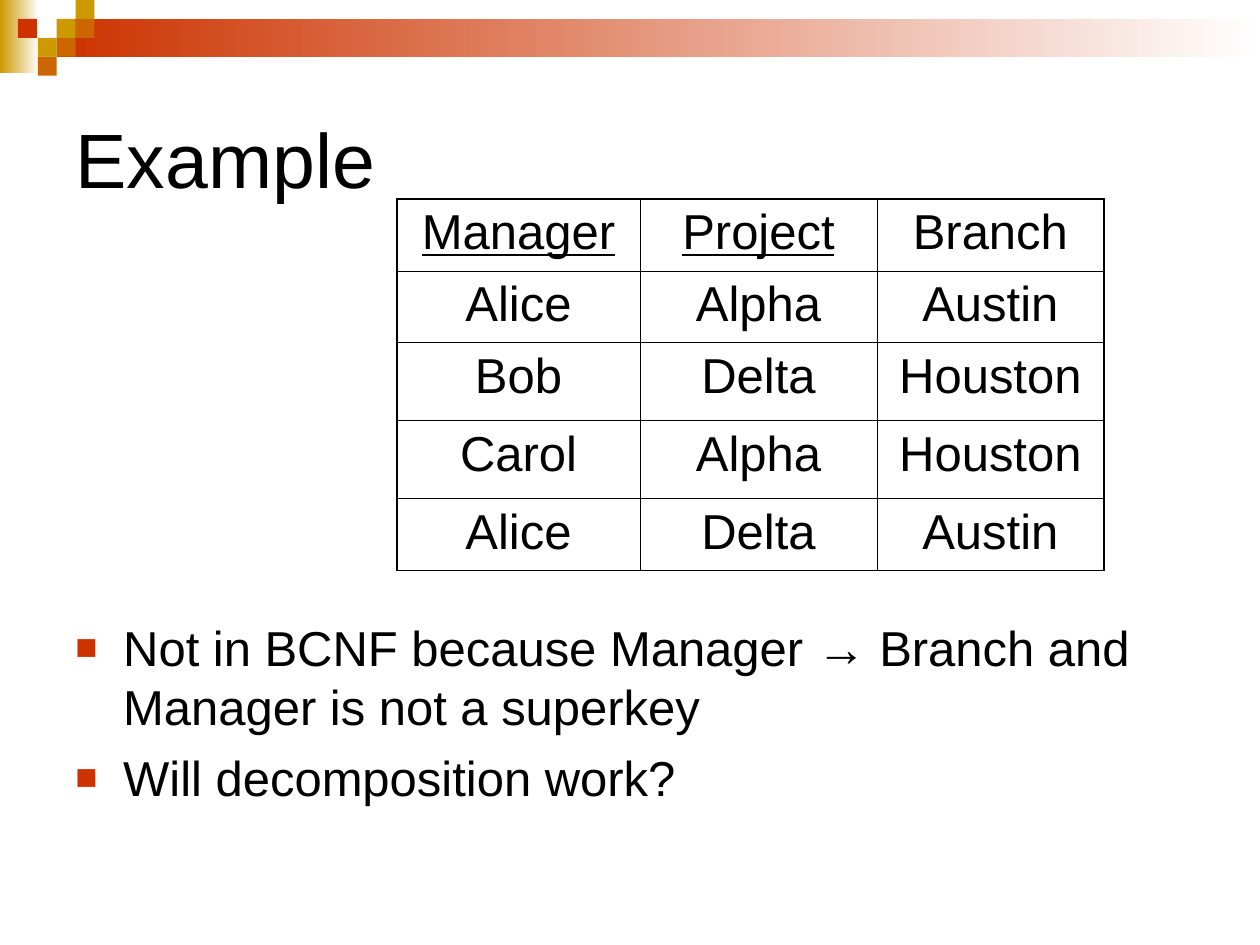
from dataclasses import dataclass

import pptx
import pptx.dml.color
import pptx.enum.shapes
import pptx.enum.text
import pptx.oxml
import pptx.oxml.ns
import pptx.util
from pptx.util import Inches


@dataclass(frozen=True)
class Theme:
    """Colours, font, type sizes and line widths of the slide."""
    font: str = "Arial"
    text: str = "000000"
    paper: str = "FFFFFF"
    gold: str = "CC9900"
    red: str = "CC3300"
    orange: str = "CC6600"
    title_size: int = 44
    body_size: int = 28
    outer_line: float = 1.08
    inner_line: float = 0.45


THEME = Theme()


def rgb(color):
    """Return a colour object for a hex string."""
    return pptx.dml.color.RGBColor.from_string(color)


def xml(text):
    """Parse a DrawingML element whose first tag takes the namespace."""
    tag, rest = text.split(" ", 1)
    return pptx.oxml.parse_xml(f"{tag} {pptx.oxml.ns.nsdecls('a')} {rest}")


def style(p, size, align, underline=None):
    """Format every run of a paragraph."""
    p.alignment = align
    for r in p.runs:
        r.font.name = THEME.font
        r.font.size = pptx.util.Pt(size)
        r.font.color.rgb = rgb(THEME.text)
        r.font.underline = underline


def add_block(s, x, y, w, h, color, fade=False):
    """Add a borderless rectangle, plain or fading to the paper colour."""
    sp = s.shapes.add_shape(pptx.enum.shapes.MSO_SHAPE.RECTANGLE,
                            Inches(x), Inches(y), Inches(w), Inches(h))
    sp.shadow.inherit = False
    sp.line.fill.background()
    if fade:
        sp.fill.gradient()
        sp.fill.gradient_angle = 0
        for stop, position, shade in zip(sp.fill.gradient_stops, (0, 1), (color, THEME.paper)):
            stop.position = position
            stop.color.rgb = rgb(shade)
    else:
        sp.fill.solid()
        sp.fill.fore_color.rgb = rgb(color)


def add_banner(s, x, y, w):
    """Draw the fading bars and the checkered squares along the top."""
    side = 0.15
    add_block(s, x, y, 0.31, 0.58, THEME.gold, fade=True)
    add_block(s, x + 3 * side, y + side, w - 3 * side, 2 * side, THEME.red, fade=True)
    squares = [(3, 1, THEME.gold), (4, 0, THEME.gold), (4, 1, THEME.orange),
               (2, 2, THEME.gold), (0.95, 1, THEME.red), (3, 2, THEME.orange),
               (2, 3, THEME.orange)]
    for col, row, color in squares:
        add_block(s, x + col * side, y + row * side, side, side, color)


def add_title(s, x, y, w, h, text):
    """Place and format the title placeholder."""
    sp = s.shapes.title
    sp.left, sp.top, sp.width, sp.height = Inches(x), Inches(y), Inches(w), Inches(h)
    tf = sp.text_frame
    tf.text = text
    tf.vertical_anchor = pptx.enum.text.MSO_ANCHOR.MIDDLE
    style(tf.paragraphs[0], THEME.title_size, pptx.enum.text.PP_ALIGN.LEFT)


def add_borders(cell, outer):
    """Draw the four cell borders, heavier on the sides named in outer."""
    for side in "LRTB":
        width = pptx.util.Pt(THEME.outer_line if side in outer else THEME.inner_line)
        cell._tc.get_or_add_tcPr().append(xml(
            f'<a:ln{side} w="{width}"><a:solidFill><a:srgbClr val="{THEME.text}"/>'
            f'</a:solidFill></a:ln{side}>'))


def add_relation(s, x, y, col_widths, row_heights, rows, keys):
    """Add the relation table with its key columns underlined."""
    n_rows, n_cols = len(rows), len(col_widths)
    table = s.shapes.add_table(n_rows, n_cols, Inches(x), Inches(y),
                               Inches(sum(col_widths)), Inches(sum(row_heights))).table
    table.first_row = table.horz_banding = False
    for column, width in zip(table.columns, col_widths):
        column.width = Inches(width)
    for row, height in zip(table.rows, row_heights):
        row.height = Inches(height)
    for i, values in enumerate(rows):
        for j, value in enumerate(values):
            cell = table.cell(i, j)
            edges = {"T": i == 0, "B": i == n_rows - 1, "L": j == 0, "R": j == n_cols - 1}
            add_borders(cell, [side for side, on_edge in edges.items() if on_edge])
            cell.fill.background()
            cell.text_frame.text = value
            style(cell.text_frame.paragraphs[0], THEME.body_size,
                  pptx.enum.text.PP_ALIGN.CENTER, True if i == 0 and value in keys else None)


def add_bullets(s, x, y, w, h, items):
    """Add a list with square bullets."""
    tf = s.shapes.add_textbox(Inches(x), Inches(y), Inches(w), Inches(h)).text_frame
    tf.word_wrap = True
    for i, item in enumerate(items):
        p = tf.add_paragraph() if i else tf.paragraphs[0]
        p.text = item
        pPr = p._p.get_or_add_pPr()
        pPr.set("marL", str(Inches(0.38)))
        pPr.set("indent", str(Inches(-0.38)))
        pPr.append(xml(f'<a:buClr ><a:srgbClr val="{THEME.red}"/></a:buClr>'))
        pPr.append(xml('<a:buSzPct val="75000"/>'))
        pPr.append(xml(f'<a:buFont typeface="{THEME.font}"/>'))
        pPr.append(xml('<a:buChar char="■"/>'))
        if i:
            p.space_before = pptx.util.Pt(7)
        style(p, THEME.body_size, pptx.enum.text.PP_ALIGN.LEFT)


def main():
    """Build and save the slide."""
    prs = pptx.Presentation()
    prs.slide_width, prs.slide_height = Inches(10), Inches(7.5)
    s = prs.slides.add_slide(prs.slide_layouts[5])
    add_banner(s, 0, 0, 10)
    add_title(s, 0.5, 0.5, 9, 1.5, "Example")
    add_bullets(s, 0.5, 4.85, 9, 2.44, [
        "Not in BCNF because Manager → Branch and Manager is not a superkey",
        "Will decomposition work?",
    ])
    add_relation(s, 3.15, 1.58, [1.93, 1.88, 1.8], [0.57, 0.57, 0.62, 0.62, 0.57], [
        ("Manager", "Project", "Branch"),
        ("Alice", "Alpha", "Austin"),
        ("Bob", "Delta", "Houston"),
        ("Carol", "Alpha", "Houston"),
        ("Alice", "Delta", "Austin"),
    ], keys=("Manager", "Project"))
    prs.save("out.pptx")


if __name__ == "__main__":
    main()
